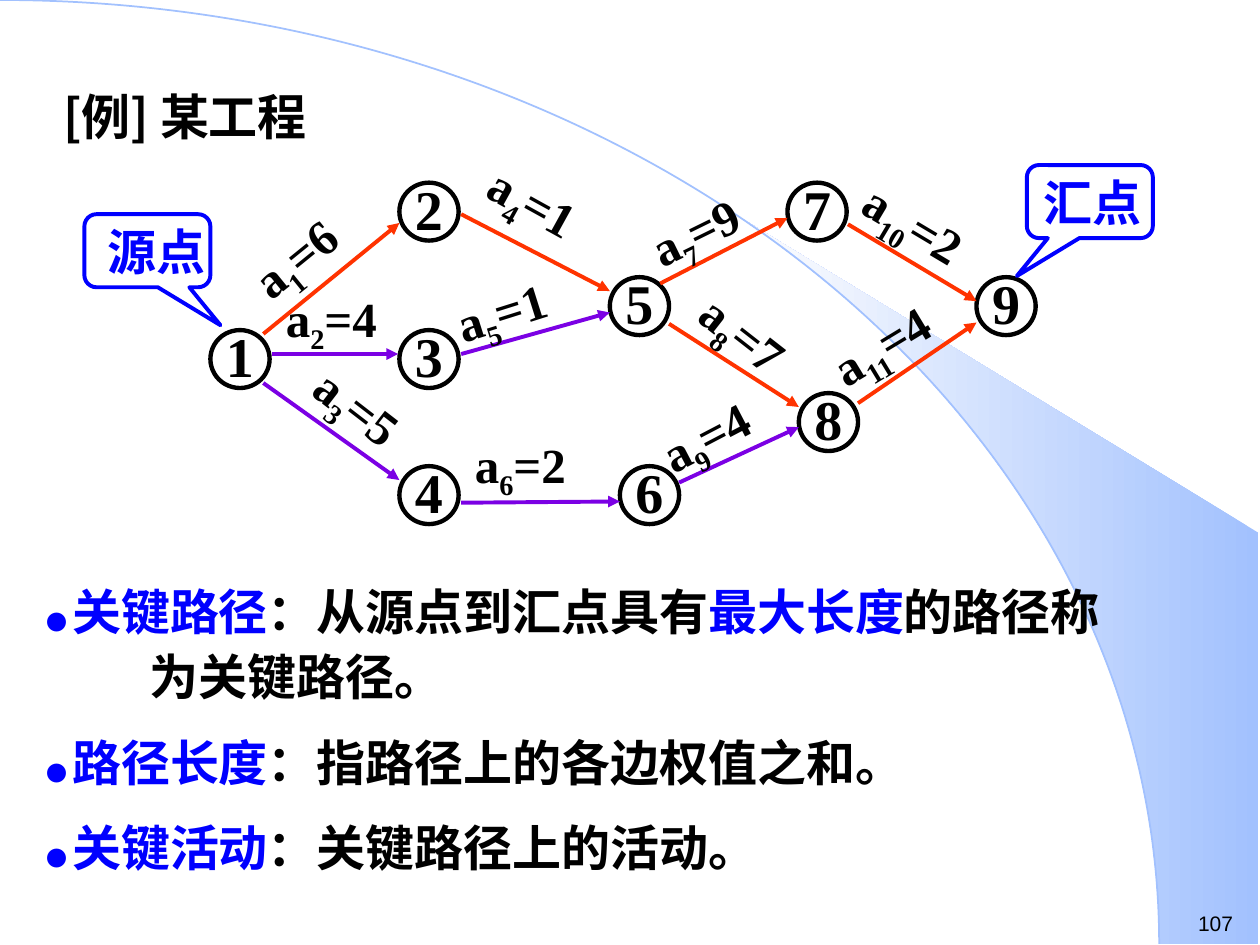
from dataclasses import dataclass
from math import acos, cos, sin

from lxml.etree import SubElement
from pptx import Presentation
from pptx.dml.color import RGBColor
from pptx.enum.shapes import MSO_CONNECTOR, MSO_SHAPE
from pptx.enum.text import MSO_ANCHOR, MSO_AUTO_SIZE, PP_ALIGN
from pptx.oxml.ns import qn
from pptx.util import Inches, Pt


@dataclass(frozen=True)
class Theme:
    black = RGBColor.from_string("000000")
    blue = RGBColor.from_string("0000FF")
    critical = RGBColor.from_string("FF3300")
    ordinary = RGBColor.from_string("7B00E4")
    sky = RGBColor.from_string("A2C1FE")
    pale = RGBColor.from_string("FEFEFE")
    cjk = "Noto Sans CJK SC"
    serif = "Times New Roman"
    sans = "Arial"
    body = Pt(28)
    node = Pt(32)
    small = Pt(12)
    outline = Pt(2.5)
    stroke = Pt(2.25)


@dataclass(frozen=True)
class Box:
    left: float
    top: float
    width: float
    height: float

    def inner(self, x, y, width, height):
        return Box(self.left + x, self.top + y, width, height)

    def lengths(self):
        return [Inches(v) for v in (self.left, self.top, self.width, self.height)]


THEME = Theme()

NODES = {
    "1": (1.17, 1.62), "2": (2.67, 0.45), "3": (2.67, 1.62),
    "4": (2.67, 2.7), "5": (4.34, 1.2), "6": (4.42, 2.7),
    "7": (5.75, 0.45), "8": (5.84, 2.12), "9": (7.25, 1.2),
}

ACTIVITIES = [
    ("1", 6, True, (1.59, 1.65), (2.67, 0.77), (1.31, 0.56), -39.1),
    ("2", 4, False, (1.66, 1.81), (2.66, 1.81), (1.67, 1.19), 0),
    ("3", 5, False, (1.59, 2.04), (2.67, 2.81), (1.84, 2.05), 37.7),
    ("4", 1, True, (3.16, 0.7), (4.34, 1.31), (3.25, 0.39), 28.9),
    ("5", 1, False, (3.16, 1.81), (4.34, 1.48), (3.0, 1.06), -17.6),
    ("6", 2, False, (3.16, 2.99), (4.42, 2.98), (3.17, 2.35), 0),
    ("7", 9, True, (4.74, 1.25), (5.75, 0.73), (4.52, 0.39), -26.2),
    ("8", 7, True, (4.81, 1.57), (5.84, 2.23), (4.9, 1.47), 38),
    ("9", 4, False, (4.89, 2.83), (5.84, 2.39), (4.6, 2.01), -27.6),
    ("10", 2, True, (6.23, 0.78), (7.25, 1.39), (6.22, 0.54), 30.9),
    ("11", 4, True, (6.31, 2.2), (7.25, 1.56), (5.94, 1.3), -31.2),
]

DEFINITIONS = [
    [("关键路径", THEME.blue), ("：从源点到汇点具有", THEME.black),
     ("最大长度", THEME.blue), ("的路径称为关键路径。", THEME.black)],
    [("路径长度", THEME.blue), ("：指路径上的各边权值之和。", THEME.black)],
    [("关键活动", THEME.blue), ("：关键路径上的活动。", THEME.black)],
]


def add_run(paragraph, text, size, color, family, bold=True):
    run = paragraph.add_run()
    run.text = text
    run.font.size = size
    run.font.bold = bold
    run.font.name = family
    run.font.color.rgb = color
    SubElement(run._r.get_or_add_rPr(), qn("a:ea"), typeface=THEME.cjk)
    return run


def add_outlined(slide, preset, box, color, width):
    outlined = slide.shapes.add_shape(preset, *box.lengths())
    outlined.shadow.inherit = False
    outlined.fill.background()
    outlined.line.color.rgb = color
    outlined.line.width = width
    return outlined


def center_text(holder, text, size, color, family):
    frame = holder.text_frame
    frame.word_wrap = False
    frame.vertical_anchor = MSO_ANCHOR.MIDDLE
    frame.margin_left = frame.margin_right = frame.margin_top = frame.margin_bottom = 0
    paragraph = frame.paragraphs[0]
    paragraph.alignment = PP_ALIGN.CENTER
    add_run(paragraph, text, size, color, family)
    return frame


def add_backdrop(slide, box):
    arc_width, arc_height = 9.2, 7.49
    sheen_start, steps = 5.89, 24
    right = box.left + box.width - 0.01
    bottom = box.top + arc_height
    first_angle = acos(sheen_start / arc_width)
    angles = [first_angle * (1 - step / steps) for step in range(steps + 1)]
    curve = [(Inches(box.left + arc_width * cos(a)), Inches(bottom - arc_height * sin(a)))
             for a in angles]
    builder = slide.shapes.build_freeform(*curve[0])
    corners = [(Inches(right), Inches(bottom)), (Inches(right), Inches(box.top + 4.23))]
    builder.add_line_segments(curve[1:] + corners, close=True)
    sheen = builder.convert_to_shape()
    sheen.shadow.inherit = False
    sheen.line.fill.background()
    sheen.fill.gradient()
    sheen.fill.gradient_angle = 180
    for stop, color in zip(sheen.fill.gradient_stops, (THEME.sky, THEME.pale)):
        stop.color.rgb = color
    arc_box = box.inner(-arc_width, 0, 2 * arc_width, 2 * arc_height)
    add_outlined(slide, MSO_SHAPE.ARC, arc_box, THEME.sky, Pt(1))


def add_heading(slide, box):
    heading = slide.shapes.title
    heading.left, heading.top, heading.width, heading.height = box.lengths()
    frame = heading.text_frame
    frame.vertical_anchor = MSO_ANCHOR.MIDDLE
    frame.auto_size = MSO_AUTO_SIZE.NONE
    paragraph = frame.paragraphs[0]
    paragraph.alignment = PP_ALIGN.LEFT
    add_run(paragraph, "[例] 某工程", THEME.body, THEME.black, THEME.cjk)


def add_node(slide, box, number):
    node = add_outlined(slide, MSO_SHAPE.OVAL, box, THEME.black, THEME.outline)
    frame = center_text(node, number, THEME.node, THEME.black, THEME.serif)
    frame.margin_bottom = Inches(0.06)


def add_arrow(slide, start, end, color):
    ends = [Inches(v) for v in (*start, *end)]
    arrow = slide.shapes.add_connector(MSO_CONNECTOR.STRAIGHT, *ends)
    arrow.line.color.rgb = color
    arrow.line.width = THEME.stroke
    SubElement(arrow.line._get_or_add_ln(), qn("a:tailEnd"), type="triangle")
    SubElement(arrow._element.spPr, qn("a:effectLst"))


def add_weight(slide, box, number, weight, rotation):
    label = slide.shapes.add_textbox(*box.lengths())
    label.rotation = rotation
    label.text_frame.word_wrap = True
    label.text_frame.margin_top = Inches(0.1)
    paragraph = label.text_frame.paragraphs[0]
    style = (THEME.body, THEME.black, THEME.serif)
    add_run(paragraph, "a", *style)
    subscript = add_run(paragraph, number, *style)
    subscript._r.get_or_add_rPr().set("baseline", "-25000")
    add_run(paragraph, f"={weight}", *style)


def add_callout(slide, box, text, tip_x, indent):
    callout = add_outlined(slide, MSO_SHAPE.ROUNDED_RECTANGULAR_CALLOUT, box,
                           THEME.blue, THEME.stroke)
    callout.adjustments[0] = tip_x
    callout.adjustments[1] = 1.02
    frame = center_text(callout, text, THEME.body, THEME.blue, THEME.serif)
    frame.margin_left = Inches(indent)


def add_network(slide, box):
    for number, (x, y) in NODES.items():
        add_node(slide, box.inner(x, y, 0.47, 0.46), number)
    for number, weight, critical, start, end, label, rotation in ACTIVITIES:
        tail, head = [(box.left + x, box.top + y) for x, y in (start, end)]
        add_arrow(slide, tail, head, THEME.critical if critical else THEME.ordinary)
        add_weight(slide, box.inner(*label, 1.42, 0.63), number, weight, rotation)
    add_callout(slide, box.inner(7.65, 0.31, 1, 0.58), "汇点", -0.58, 0.04)
    add_callout(slide, box.inner(0.17, 0.7, 1, 0.58), "源点", 0.58, 0.15)


def add_definitions(slide, box):
    frame = slide.shapes.add_textbox(*box.lengths()).text_frame
    frame.word_wrap = True
    for index, parts in enumerate(DEFINITIONS):
        paragraph = frame.add_paragraph() if index else frame.paragraphs[0]
        paragraph.line_spacing = Pt(37)
        paragraph.space_before = Pt(12 if index else 0)
        properties = paragraph._p.get_or_add_pPr()
        properties.set("marL", str(Inches(0.82)))
        properties.set("indent", str(-Inches(0.82)))
        add_run(paragraph, "● ", THEME.small, THEME.blue, THEME.cjk)
        for text, color in parts:
            add_run(paragraph, text, THEME.body, color, THEME.cjk)


def add_page_number(slide, box):
    frame = slide.shapes.add_textbox(*box.lengths()).text_frame
    frame.word_wrap = True
    add_run(frame.paragraphs[0], "107", THEME.small, THEME.black, THEME.sans, bold=False)


def main():
    deck = Presentation()
    deck.slide_width, deck.slide_height = Inches(10), Inches(7.5)
    slide = deck.slides.add_slide(deck.slide_layouts[5])
    add_backdrop(slide, Box(0, 0, 10, 7.5))
    add_heading(slide, Box(0.4, 0.63, 4, 0.58))
    add_network(slide, Box(0.5, 1, 9, 3.5))
    add_definitions(slide, Box(0.27, 4.52, 8.75, 2.5))
    add_page_number(slide, Box(9.41, 7.18, 0.59, 0.3))
    deck.save("out.pptx")


if __name__ == "__main__":
    main()
